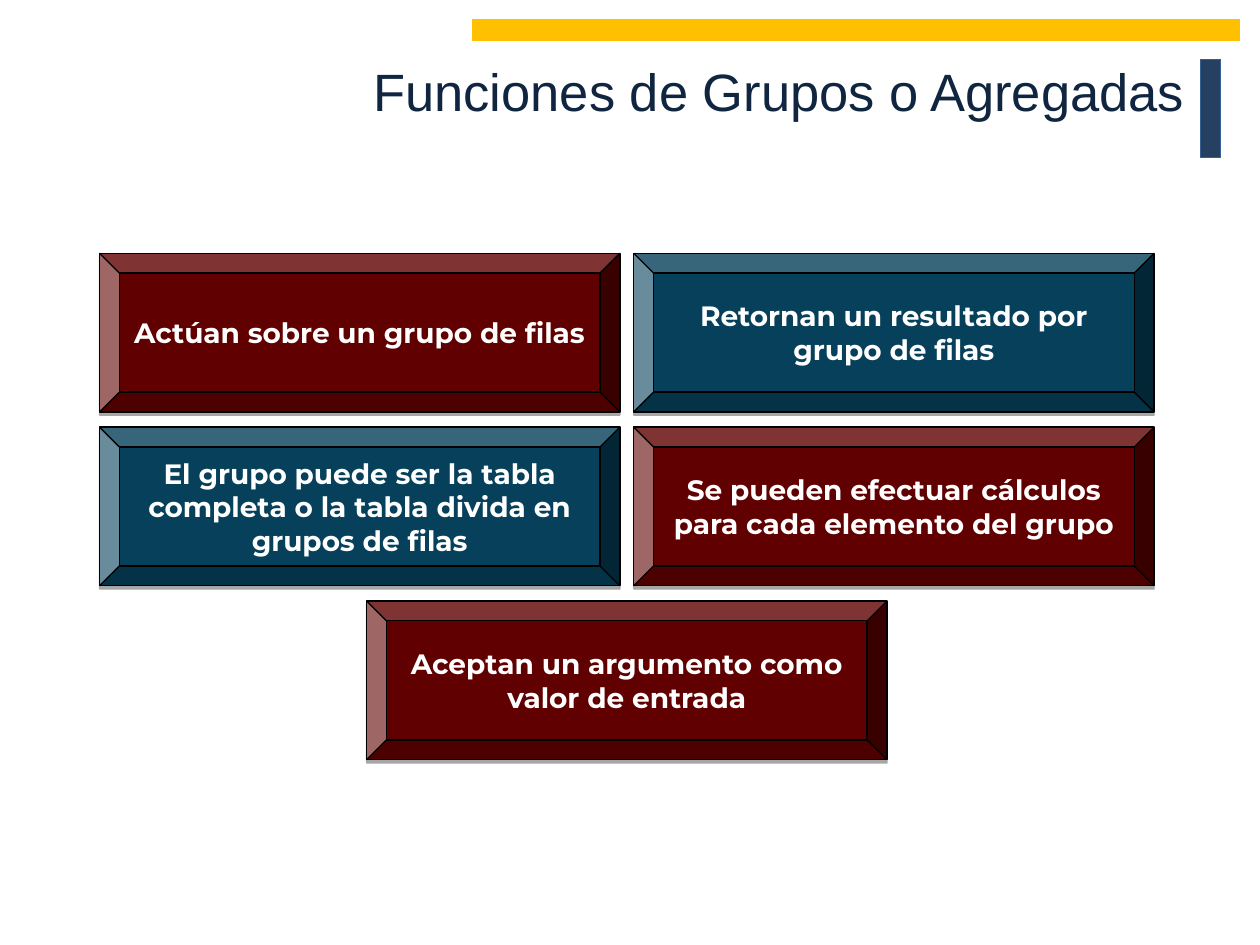
import pptx
import pptx.util
import pptx.dml.color
import pptx.enum.shapes
import pptx.enum.text
import pptx.oxml
import pptx.oxml.ns

Inches, Pt = pptx.util.Inches, pptx.util.Pt
SHAPE = pptx.enum.shapes.MSO_SHAPE
ALIGN = pptx.enum.text.PP_ALIGN

COLORS = {
    "navy": "254061", "navy_edge": "376092", "gold": "FFC000",
    "title": "10253F", "red": "600000", "blue": "06405A",
    "black": "000000", "white": "FFFFFF",
}

CARD_W, CARD_H = 4.13, 1.26
LEFT, TOP = 0.79, 2.01
COL_STEP, ROW_STEP = 4.24, 1.38

# column (0.5 is centred between the two), row, colour, text
CARDS = [
    (0, 0, "red", "Actúan sobre un grupo de filas"),
    (1, 0, "blue", "Retornan un resultado por grupo de filas"),
    (1, 1, "red", "Se pueden efectuar cálculos para cada elemento del grupo"),
    (0, 1, "blue", "El grupo puede ser la tabla completa o la tabla divida en grupos de filas"),
    (0.5, 2, "red", "Aceptan un argumento como valor de entrada"),
]


def rgb(name):
    return pptx.dml.color.RGBColor.from_string(COLORS[name])


class SlideBuilder:
    """Holds the current slide and its style."""

    title_font, card_font = "Arial", "Montserrat"

    def __init__(self, slide):
        self.slide = slide

    def shape(self, kind, box, fill, line):
        sp = self.slide.shapes.add_shape(kind, *map(Inches, box))
        sp.shadow.inherit = False
        sp.fill.solid()
        sp.fill.fore_color.rgb = rgb(fill)
        sp.line.color.rgb = rgb(line)
        sp.line.width = Pt(0.75)
        return sp

    def set_text(self, sp, text, font, size, color, align, bold=False):
        tf = sp.text_frame
        tf.word_wrap = True
        tf.vertical_anchor = pptx.enum.text.MSO_ANCHOR.MIDDLE
        p = tf.paragraphs[0]
        p.text = text
        p.alignment = align
        p.font.name, p.font.size, p.font.bold = font, Pt(size), bold
        p.font.color.rgb = rgb(color)

    def bar(self, box, fill, line):
        self.shape(SHAPE.RECTANGLE, box, fill, line)

    def title(self, box, text):
        sp = self.slide.shapes.add_textbox(*map(Inches, box))
        self.set_text(sp, text, self.title_font, 30, "title", ALIGN.RIGHT)

    def card(self, box, fill, text):
        sp = self.shape(SHAPE.BEVEL, box, fill, "black")
        sp.adjustments[0] = 0.125
        self.drop_shadow(sp)
        self.set_text(sp, text, self.card_font, 16, "white", ALIGN.CENTER, True)

    def drop_shadow(self, sp):
        """Add a hard 35 % shadow, 1.8 pt straight below the shape."""
        effects = sp.element.spPr.find(pptx.oxml.ns.qn("a:effectLst"))
        effects.append(pptx.oxml.parse_xml(
            f'<a:outerShdw {pptx.oxml.ns.nsdecls("a")} blurRad="0" '
            f'dist="{Pt(1.8)}" dir="5400000" rotWithShape="0">'
            f'<a:srgbClr val="{COLORS["black"]}"><a:alpha val="35000"/>'
            '</a:srgbClr></a:outerShdw>'))


def main():
    prs = pptx.Presentation()
    prs.slide_width, prs.slide_height = Inches(10), Inches(7.5)
    s = SlideBuilder(prs.slides.add_slide(prs.slide_layouts[6]))
    s.bar((9.53, 0.47, 0.16, 0.78), "navy", "navy_edge")
    s.bar((3.75, 0.16, 6.09, 0.16), "gold", "gold")
    s.title((0.98, 0, 8.52, 1.44), "Funciones de Grupos o Agregadas")
    for col, row, color, text in CARDS:
        box = (LEFT + col * COL_STEP, TOP + row * ROW_STEP, CARD_W, CARD_H)
        s.card(box, color, text)
    prs.save("out.pptx")


if __name__ == "__main__":
    main()
